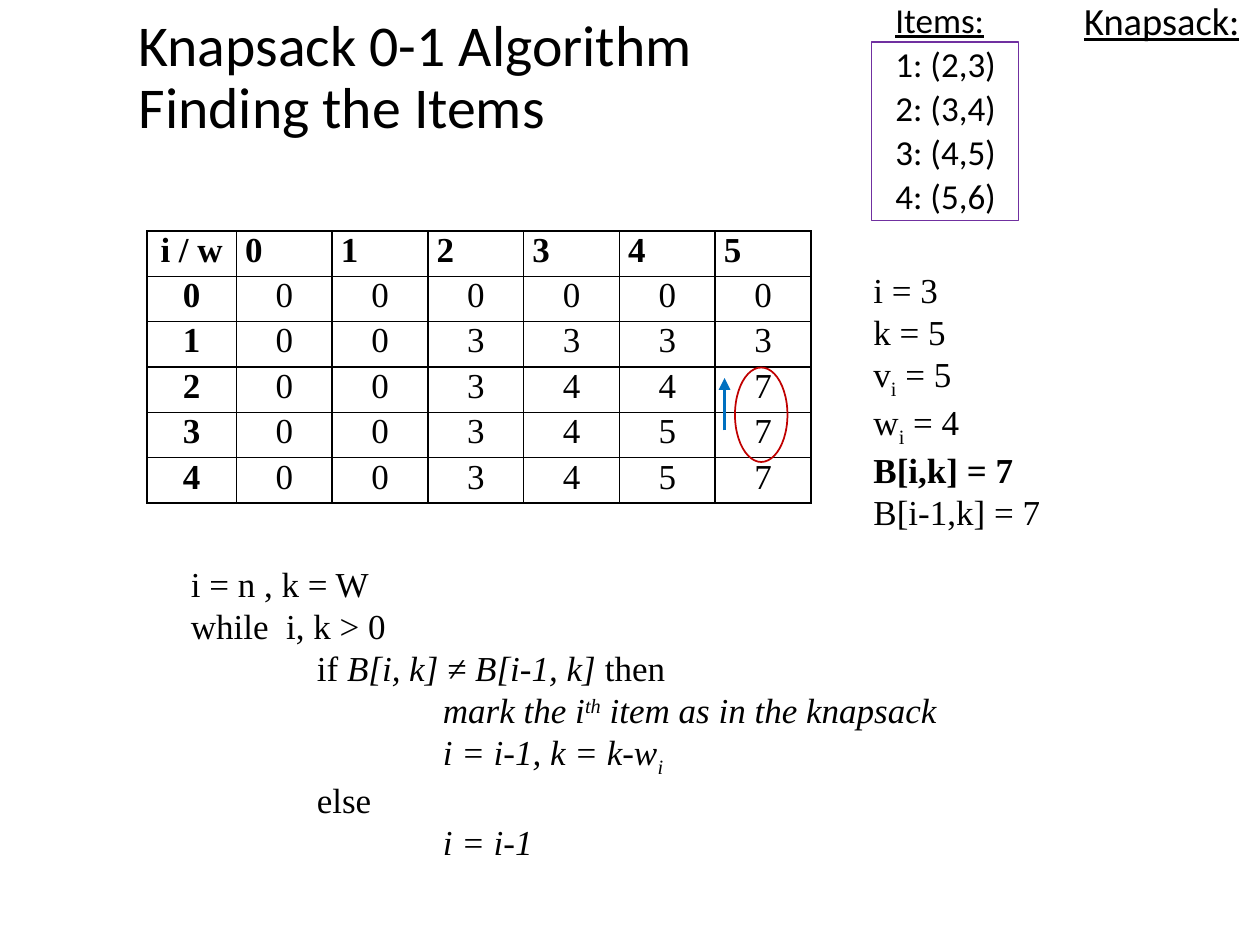
from dataclasses import dataclass
from typing import Sequence

from lxml.etree import SubElement
from pptx import Presentation
from pptx.dml.color import RGBColor
from pptx.enum.shapes import MSO_CONNECTOR as Connector, MSO_SHAPE as Preset
from pptx.enum.text import MSO_ANCHOR as Anchor, MSO_AUTO_SIZE as AutoSize, PP_ALIGN as Align
from pptx.oxml.ns import qn
from pptx.util import Inches, Pt


@dataclass(frozen=True)
class Theme:
    ink: RGBColor = RGBColor(0x00, 0x00, 0x00)
    frame: RGBColor = RGBColor(0x70, 0x30, 0xA0)
    arrow: RGBColor = RGBColor(0x00, 0x70, 0xC0)
    ring: RGBColor = RGBColor(0xC0, 0x00, 0x00)
    sans: str = "Calibri"
    serif: str = "Times New Roman"
    title: float = 33
    heading: float = 22
    body: float = 20
    thin: float = 1
    thick: float = 2.25


THEME = Theme()


@dataclass(frozen=True)
class Area:
    column: float
    row: float
    columns: float
    rows: float


@dataclass(frozen=True)
class Span:
    text: str
    bold: bool = False
    italic: bool = False
    underline: bool = False
    baseline: int = 0


@dataclass(frozen=True)
class Line:
    spans: Sequence[Span]
    depth: float = 0
    hanging: float = 0
    spacing: float = 1.0
    before: float = 0
    align: Align = Align.LEFT


def grid(cells: float) -> int:
    return Inches(cells / 12)


def place(box, area: Area) -> None:
    box.left, box.top = grid(area.column), grid(area.row)
    box.width, box.height = grid(area.columns), grid(area.rows)


def write_line(para, line: Line, font: str, size: float) -> None:
    para.alignment = line.align
    para.line_spacing = line.spacing
    para.space_before, para.space_after = Pt(line.before), Pt(0)
    properties = para._p.get_or_add_pPr()
    properties.set("marL", str(Inches(line.depth)))
    properties.set("indent", str(Inches(-line.hanging)))
    SubElement(properties, qn("a:buNone"))
    for part in line.spans:
        for index, text in enumerate(part.text.split("\n")):
            if index:
                para.add_line_break()
            span = para.add_run()
            span.text = text
            span.font.name, span.font.size = font, Pt(size)
            span.font.color.rgb = THEME.ink
            span.font.bold, span.font.italic = part.bold, part.italic
            span.font.underline = part.underline
            if part.baseline:
                span._r.get_or_add_rPr().set("baseline", str(part.baseline * 1000))


def write_box(box, area: Area, lines: Sequence[Line], font: str, size: float,
              anchor: Anchor = Anchor.TOP, wrap: bool = True) -> None:
    place(box, area)
    frame = box.text_frame
    frame.word_wrap = wrap
    frame.auto_size = AutoSize.NONE if wrap else AutoSize.SHAPE_TO_FIT_TEXT
    frame.vertical_anchor = anchor
    for index, line in enumerate(lines):
        para = frame.add_paragraph() if index else frame.paragraphs[0]
        write_line(para, line, font, size)


def add_text(page, area: Area, lines: Sequence[Line], font: str, size: float,
             wrap: bool = True) -> None:
    write_box(page.shapes.add_textbox(0, 0, 0, 0), area, lines, font, size, wrap=wrap)


def add_outline(page, preset: Preset, area: Area, color: RGBColor) -> None:
    shape = page.shapes.add_shape(preset, 0, 0, 0, 0)
    place(shape, area)
    shape.shadow.inherit = False
    shape.fill.background()
    shape.line.color.rgb, shape.line.width = color, Pt(THEME.thin)


def add_up_arrow(page, column: float, bottom: float, top: float) -> None:
    arrow = page.shapes.add_connector(
        Connector.STRAIGHT, grid(column), grid(bottom), grid(column), grid(top))
    arrow.line.color.rgb, arrow.line.width = THEME.arrow, Pt(THEME.thick)
    SubElement(arrow.line._get_or_add_ln(), qn("a:tailEnd"), type="triangle")
    SubElement(arrow._element.spPr, qn("a:effectLst"))


def add_borders(cell) -> None:
    properties = cell._tc.get_or_add_tcPr()
    for side in ("lnL", "lnR", "lnT", "lnB"):
        border = SubElement(properties, qn(f"a:{side}"), w=str(Pt(THEME.thin)))
        fill = SubElement(border, qn("a:solidFill"))
        SubElement(fill, qn("a:srgbClr"), val=str(THEME.ink))


def add_value_table(page, column: float, row: float, values: Sequence[Sequence[str]]) -> None:
    widths = [0.71] + [0.76] * (len(values[0]) - 1)
    height = 0.36
    table = page.shapes.add_table(
        len(values), len(widths), grid(column), grid(row),
        Inches(sum(widths)), Inches(height * len(values))).table
    table.first_row = table.horz_banding = False
    for index, width in enumerate(widths):
        table.columns[index].width = Inches(width)
    for r, texts in enumerate(values):
        table.rows[r].height = Inches(height)
        for c, text in enumerate(texts):
            cell = table.cell(r, c)
            add_borders(cell)
            cell.fill.background()
            cell.margin_left = cell.margin_right = Inches(0.07)
            cell.margin_top = cell.margin_bottom = 0
            align = Align.LEFT if r == 0 and c else Align.CENTER
            line = Line([Span(text, bold=r == 0 or c == 0)], align=align)
            write_line(cell.text_frame.paragraphs[0], line, THEME.serif, THEME.body)


def listed(text: str, heading: bool = False) -> Line:
    return Line([Span(text, underline=heading)], depth=0.4, hanging=0.31,
                spacing=0.8, before=0 if heading else 6)


def subscript(name: str, rest: str) -> Line:
    return Line([Span(name), Span("i", baseline=-25), Span(rest)])


def main() -> None:
    deck = Presentation()
    deck.slide_width, deck.slide_height = Inches(10), Inches(7.5)
    page = deck.slides.add_slide(deck.slide_layouts[1])
    title, items = page.placeholders

    write_box(title, Area(12, 0, 71, 15),
              [Line([Span("Knapsack 0-1 Algorithm\nFinding the Items")], spacing=0.9)],
              THEME.sans, THEME.title, Anchor.MIDDLE)

    pairs = [(2, 3), (3, 4), (4, 5), (5, 6)]
    write_box(items, Area(83, 0, 14, 22),
              [listed("Items:", heading=True)]
              + [listed(f"{n}: ({w},{v})") for n, (w, v) in enumerate(pairs, 1)],
              THEME.sans, THEME.body)

    add_text(page, Area(82, 25, 18.4, 25.4), [
        Line([Span("i = 3")]),
        Line([Span("k = 5")]),
        subscript("v", " = 5"),
        subscript("w", " = 4"),
        Line([Span("B[i,k] = 7", bold=True)]),
        Line([Span("B[i-1,k] = 7")]),
    ], THEME.serif, THEME.body, wrap=False)

    best = ["000000", "003333", "003447", "003457", "003457"]
    add_value_table(page, 14, 22, [["i / w", *"012345"]]
                    + [[str(i), *values] for i, values in enumerate(best)])
    add_outline(page, Preset.RECTANGLE, Area(83, 4, 14, 17), THEME.frame)

    add_text(page, Area(17, 53, 85, 33), [
        Line([Span("i = n , k = W")]),
        Line([Span("while  i, k > 0")]),
        Line([Span("if "), Span("B[i, k] ≠ B[i-1, k] ", italic=True), Span("then")], depth=1),
        Line([Span("mark the i", italic=True), Span("th", italic=True, baseline=30),
              Span(" item as in the knapsack", italic=True)], depth=2),
        Line([Span("i = i-1, k = k-w", italic=True),
              Span("i", italic=True, baseline=-25)], depth=2),
        Line([Span("else")], depth=1),
        Line([Span("i = i-1", italic=True)], depth=2),
    ], THEME.serif, THEME.body)

    add_up_arrow(page, 69, 41, 36)
    add_text(page, Area(101, 0, 19, 7), [listed("Knapsack:", heading=True)],
             THEME.sans, THEME.heading)
    add_outline(page, Preset.OVAL, Area(70, 35, 5, 9), THEME.ring)
    deck.save("out.pptx")


if __name__ == "__main__":
    main()
